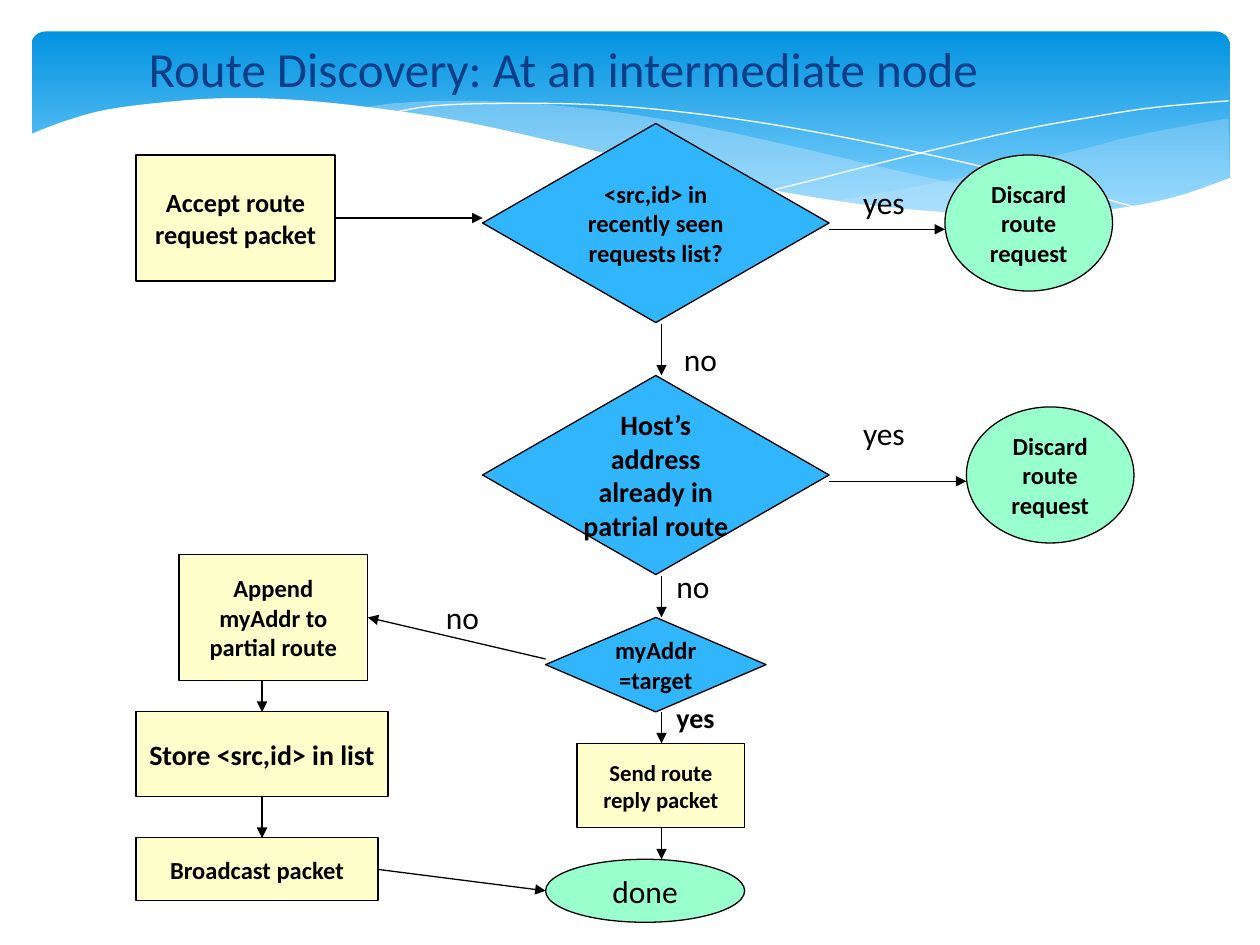
from dataclasses import dataclass

from lxml.etree import SubElement as Sub
from pptx import Presentation
from pptx.dml.color import RGBColor as Rgb
from pptx.enum.shapes import MSO_CONNECTOR as Conn, MSO_SHAPE as Form
from pptx.enum.text import MSO_ANCHOR as Anchor, MSO_AUTO_SIZE as Fit, PP_ALIGN as Align
from pptx.oxml.ns import qn
from pptx.util import Inches, Pt


@dataclass(frozen=True)
class Theme:
    """Colours, font and type sizes of the slide."""
    font: str = "Calibri"
    ink: str = "000000"
    title: str = "073E87"
    paper: str = "FFFFFF"
    sky: tuple = ("0293E0", "83D3FE")
    haze: str = "C6E7FC"
    step: str = "FFFFCC"
    test: str = "31B6FD"
    end: str = "99FFCC"
    head: int = 28
    large: int = 18
    body: int = 16
    mid: int = 15
    small: int = 14
    tiny: int = 13
    rule: float = 0.75


@dataclass(frozen=True)
class Box:
    """A region in inches."""
    x: float
    y: float
    w: float
    h: float

    def sub(self, x, y, w=0, h=0):
        """Return a box offset from this one."""
        return Box(self.x + x, self.y + y, w, h)

    def spot(self, x, y):
        """Return a point offset from this box."""
        return Inches(self.x + x), Inches(self.y + y)

    def area(self):
        """Return the box as lengths."""
        return [Inches(v) for v in (self.x, self.y, self.w, self.h)]


T = Theme()
LOOK = {"step": (Form.RECTANGLE, T.step), "test": (Form.DIAMOND, T.test), "end": (Form.OVAL, T.end)}


def write(frame, text, size, color=T.ink, bold=False, align=Align.CENTER):
    """Put one styled run in a text frame."""
    par = frame.paragraphs[0]
    par.alignment = align
    run = par.add_run()
    run.text = text
    font = run.font
    font.name, font.size, font.bold = T.font, Pt(size), bold
    font.color.rgb = Rgb.from_string(color)


def node(slide, box, kind, text, size, bold=True):
    """Draw one flowchart node."""
    form, fill = LOOK[kind]
    shape = slide.shapes.add_shape(form, *box.area())
    shape.shadow.inherit = False
    shape.fill.solid()
    shape.fill.fore_color.rgb = Rgb.from_string(fill)
    shape.line.color.rgb = Rgb.from_string(T.ink)
    shape.line.width = Pt(T.rule)
    frame = shape.text_frame
    frame.word_wrap = True
    frame.vertical_anchor = Anchor.MIDDLE
    write(frame, text, size, bold=bold)


def arrow(slide, box, x1, y1, x2, y2):
    """Draw an arrow between two points of a box."""
    link = slide.shapes.add_connector(Conn.STRAIGHT, *box.spot(x1, y1), *box.spot(x2, y2))
    link.line.color.rgb = Rgb.from_string(T.ink)
    link.line.width = Pt(T.rule)
    Sub(link.line._get_or_add_ln(), qn("a:tailEnd"), type="triangle")
    Sub(link.element.spPr, qn("a:effectLst"))


def label(slide, box, text, size=T.large, bold=False):
    """Draw a branch label."""
    frame = slide.shapes.add_textbox(*box.area()).text_frame
    frame.word_wrap = False
    write(frame, text, size, bold=bold)


def flow(slide, box, nodes, arrows, labels):
    """Draw the nodes, arrows and labels of one region."""
    for place, *rest in nodes:
        node(slide, box.sub(*place), *rest)
    for ends in arrows:
        arrow(slide, box, *ends)
    for place, *rest in labels:
        label(slide, box.sub(*place), *rest)


def smooth(knots, steps=5):
    """Return points on a smooth curve through the knots."""
    pts = [knots[0], *knots, knots[-1]]
    out = [knots[0]]
    for a, b, c, d in zip(pts, pts[1:], pts[2:], pts[3:]):
        for i in range(1, steps + 1):
            t = i / steps
            out.append(tuple(
                q + ((r - p) * t + (2 * p - 5 * q + 4 * r - s) * t ** 2
                     + (3 * q - p - 3 * r + s) * t ** 3) / 2
                for p, q, r, s in zip(a, b, c, d)))
    return out


def trace(slide, box, pts, close):
    """Build an outline without shadow."""
    spots = [box.spot(*p) for p in pts]
    pen = slide.shapes.build_freeform(*spots[0])
    pen.add_line_segments(spots[1:], close=close)
    shape = pen.convert_to_shape()
    shape.shadow.inherit = False
    return shape


def wave(slide, box, pts, color, alpha=100):
    """Draw a filled wave."""
    shape = trace(slide, box, pts, True)
    shape.line.fill.background()
    shape.fill.solid()
    shape.fill.fore_color.rgb = Rgb.from_string(color)
    if alpha < 100:
        tint = shape.element.spPr.find(".//" + qn("a:srgbClr"))
        Sub(tint, qn("a:alpha"), val=str(alpha * 1000))


def thread(slide, box, knots):
    """Draw a hairline curve."""
    shape = trace(slide, box, smooth(knots), False)
    shape.fill.background()
    shape.line.color.rgb = Rgb.from_string(T.paper)
    shape.line.width = Pt(0)


def banner(slide, box):
    """Draw the sky panel and its waves."""
    panel = slide.shapes.add_shape(Form.ROUNDED_RECTANGLE, *box.area())
    panel.adjustments[0] = 0.07
    panel.shadow.inherit = False
    panel.line.fill.background()
    panel.fill.gradient()
    panel.fill.gradient_angle = 270
    for stop, color, at in zip(panel.fill.gradient_stops, T.sky, (0, 0.9)):
        stop.color.rgb = Rgb.from_string(color)
        stop.position = at
    wave(slide, box, smooth([(9.5, .69), (9.1, .76), (8.66, .85), (8.36, .93), (7.8, 1.06), (7.28, 1.18), (6.36, 1.35)])
         + smooth([(6.36, 1.35), (6.8, 1.4), (7.2, 1.44), (7.78, 1.47), (8.19, 1.46),
                   (8.56, 1.42), (8.96, 1.35), (9.24, 1.27), (9.51, 1.16)]), T.haze, 29)
    wave(slide, box, smooth([(8.68, 1.42), (8.12, 1.34), (7.5, 1.24), (6.81, 1.09), (6.04, .91), (5.3, .75),
                             (4.64, .64), (3.95, .57), (3.36, .55), (2.88, .57), (2.61, .61)])
         + smooth([(2.61, .61), (3.17, .69), (3.79, .81), (4.24, .91), (5.05, 1.1), (5.76, 1.25), (6.4, 1.36),
                   (6.97, 1.43), (7.48, 1.47), (7.93, 1.48), (8.32, 1.46), (8.68, 1.42)]), T.haze, 40)
    thread(slide, box, [(2.84, .65), (3.19, .59), (3.76, .57), (4.44, .58), (5.08, .63),
                        (5.83, .73), (6.7, .89), (7.7, 1.11), (8.82, 1.41)])
    thread(slide, box, [(5.88, 1.26), (6.28, 1.16), (6.95, .99), (7.81, .79),
                        (8.41, .68), (8.85, .61), (9.26, .57), (9.5, .55)])
    wave(slide, box, smooth([(9.52, 1.16), (9.05, 1.32), (8.5, 1.42), (7.84, 1.46), (7.19, 1.43), (6.43, 1.35),
                             (5.54, 1.19), (4.22, .89), (3.4, .71), (2.67, .6), (2.05, .54), (1.52, .53),
                             (1.07, .56), (.6, .62), (.27, .71), (-.02, .82)])
         + [(-.02, 1.99), (9.52, 1.99)], T.paper)


def heading(slide, box):
    """Place the title above the banner."""
    title = slide.shapes.title
    title.left, title.top, title.width, title.height = box.area()
    slide.shapes.element.append(title.element)
    frame = title.text_frame
    frame.word_wrap, frame.auto_size = True, Fit.NONE
    frame.vertical_anchor = Anchor.BOTTOM
    write(frame, "Route Discovery: At an intermediate node", T.head, T.title, align=Align.LEFT)


def checks(slide, box):
    """Draw the two checks that may discard a request."""
    drop = "end", "Discard route request", T.small
    flow(slide, box, [
        ((0, .25, 1.58, 1), "step", "Accept route request packet", T.mid),
        ((2.75, 0, 2.75, 1.58), "test", "<src,id> in recently seen requests list?", T.small),
        ((6.42, .25, 1.33, 1.08), *drop),
        ((2.75, 2, 2.75, 1.58), "test", "Host’s address already in patrial route", T.body),
        ((6.59, 2.25, 1.33, 1.08), *drop),
    ], [(1.59, .75, 2.75, .75), (5.5, .84, 6.42, .84), (4.17, 1.59, 4.17, 2), (5.5, 2.84, 6.59, 2.84)],
        [((5.64, .42, .59, .4), "yes"), ((4.25, 1.67, .46, .4), "no"), ((5.64, 2.26, .59, .4), "yes")])


def reply(slide, box):
    """Draw the target check and the reply."""
    flow(slide, box, [
        ((0, .33, 1.75, .75), "test", "myAddr=target", T.small),
        ((.25, 1.33, 1.33, .67), "step", "Send route reply packet", T.tiny),
        ((0, 2.25, 1.58, .5), "end", "done", T.large, False),
    ], [(.92, a, .92, b) for a, b in ((0, .33), (1.08, 1.33), (2, 2.25))],
        [((.94, -.12, .46, .4), "no"), ((.91, .94, .56, .37), "yes", T.body, True)])


def relay(slide, box):
    """Draw the steps that pass the request on."""
    flow(slide, box, [
        ((.34, 0, 1.5, 1), "step", "Append myAddr to partial route", T.small),
        ((0, 1.25, 2, .67), "step", "Store <src,id> in list", T.body),
        ((0, 2.25, 1.92, .5), "step", "Broadcast packet", T.small),
    ], [(1, 1, 1, 1.25), (1, 1.92, 1, 2.25), (1.92, 2.5, 3.25, 2.67), (3.25, .83, 1.84, .5)],
        [((2.36, .3, .46, .4), "no")])


def main():
    """Build and save the slide."""
    deck = Presentation()
    deck.slide_width, deck.slide_height = Inches(10), Inches(7.5)
    slide = deck.slides.add_slide(deck.slide_layouts[5])
    banner(slide, Box(.25, .25, 9.51, 1.56))
    heading(slide, Box(1.08, .25, 8.17, .57))
    checks(slide, Box(1.08, .98, 7.92, 3.58))
    reply(slide, Box(4.33, 4.57, 1.75, 2.75))
    relay(slide, Box(1.08, 4.4, 3.25, 2.75))
    deck.save("out.pptx")


if __name__ == "__main__":
    main()
